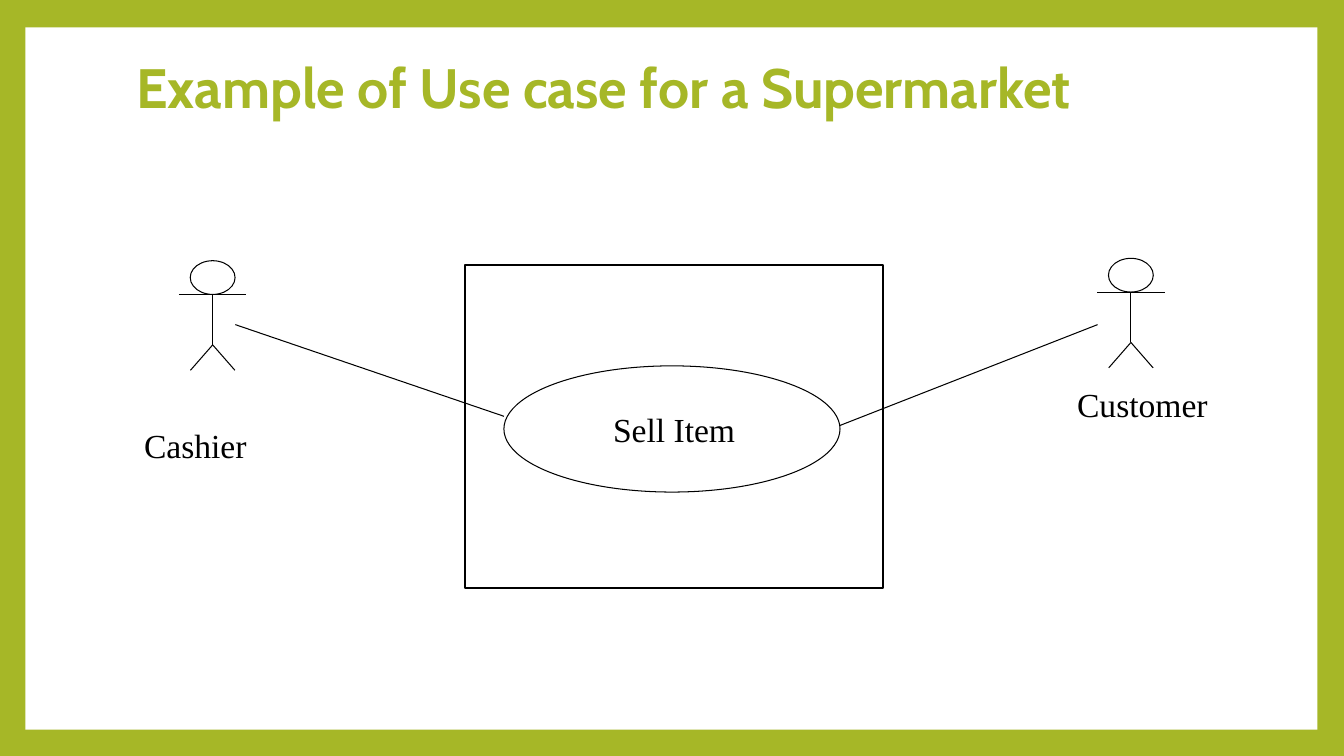
from dataclasses import dataclass

from lxml.etree import SubElement
from pptx import Presentation
from pptx.dml.color import RGBColor
from pptx.enum.shapes import MSO_CONNECTOR, MSO_SHAPE
from pptx.enum.text import MSO_ANCHOR, MSO_AUTO_SIZE, PP_ALIGN
from pptx.oxml.ns import qn
from pptx.util import Cm, Pt


@dataclass(frozen=True)
class Theme:
    green: RGBColor = RGBColor(0xA6, 0xB7, 0x27)
    white: RGBColor = RGBColor(0xFF, 0xFF, 0xFF)
    black: RGBColor = RGBColor(0, 0, 0)
    title_font: str = "Cabin"
    label_font: str = "Times New Roman"
    title_size: float = 39.6
    label_size: float = 24
    thin: float = 0.75
    thick: float = 1.5


@dataclass(frozen=True)
class Area:
    """A rectangle in centimetres."""
    left: float
    top: float
    width: float
    height: float

    def lengths(self) -> tuple[Cm, ...]:
        return tuple(Cm(v) for v in (self.left, self.top, self.width, self.height))


@dataclass(frozen=True)
class Label:
    text: str
    area: Area
    align: PP_ALIGN = PP_ALIGN.CENTER


@dataclass(frozen=True)
class Actor:
    center: float
    top: float
    label: Label


THEME = Theme()

# Stick figure proportions, in centimetres
HEAD_WIDTH, HEAD_HEIGHT = 1.13, 0.85
BODY_LENGTH, ARM_REACH = 1.27, 0.85
LEG_REACH, LEG_DROP = 0.56, 0.64

ACTORS = [
    Actor(5.36, 6.57, Label("Cashier", Area(3.38, 10.59, 4.24, 1.27), PP_ALIGN.LEFT)),
    Actor(28.5, 6.51, Label("Customer", Area(25.83, 9.55, 5.92, 1.27))),
]
USE_CASE = Area(12.7, 9.22, 8.47, 3.18)
USE_CASE_LABEL = Label("Sell Item", Area(13.74, 10.19, 6.5, 1.27))
ASSOCIATIONS = [
    (5.93, 8.18, USE_CASE.left, 10.49),
    (USE_CASE.left + USE_CASE.width, 10.72, 27.66, 8.18),
]


def set_all(target, values: dict) -> None:
    for name, value in values.items():
        setattr(target, name, value)


def add_outline(page, kind: MSO_SHAPE, area: Area,
                fill: RGBColor | None = None, weight: float = 0) -> None:
    shape = page.shapes.add_shape(kind, *area.lengths())
    shape.shadow.inherit = False
    if fill is None:
        shape.fill.background()
    else:
        shape.fill.solid()
        shape.fill.fore_color.rgb = fill
    if weight:
        shape.line.color.rgb = THEME.black
        shape.line.width = Pt(weight)
    else:
        shape.line.fill.background()


def add_line(page, x1: float, y1: float, x2: float, y2: float) -> None:
    line = page.shapes.add_connector(
        MSO_CONNECTOR.STRAIGHT, Cm(x1), Cm(y1), Cm(x2), Cm(y2))
    line.line.color.rgb = THEME.black
    line.line.width = Pt(THEME.thin)
    SubElement(line.element.spPr, qn("a:effectLst"))


def write(frame, text: str, align: PP_ALIGN, color: RGBColor, font: dict) -> None:
    para = frame.paragraphs[0]
    para.alignment = align
    span = para.add_run()
    span.text = text
    set_all(span.font, font)
    span.font.color.rgb = color


def add_label(page, label: Label) -> None:
    box = page.shapes.add_textbox(*label.area.lengths())
    box.text_frame.word_wrap = True
    write(box.text_frame, label.text, label.align, THEME.black,
          {"name": THEME.label_font, "size": Pt(THEME.label_size)})


def add_actor(page, actor: Actor) -> None:
    x = actor.center
    neck = actor.top + HEAD_HEIGHT
    hip = neck + BODY_LENGTH
    add_outline(page, MSO_SHAPE.OVAL,
                Area(x - HEAD_WIDTH / 2, actor.top, HEAD_WIDTH, HEAD_HEIGHT),
                weight=THEME.thin)
    add_line(page, x, neck, x, hip)
    add_line(page, x - ARM_REACH, neck, x + ARM_REACH, neck)
    for side in (-1, 1):
        add_line(page, x, hip, x + side * LEG_REACH, hip + LEG_DROP)
    add_label(page, actor.label)


def add_title(page, text: str, area: Area) -> None:
    title = page.shapes.title
    set_all(title, dict(zip(("left", "top", "width", "height"), area.lengths())))
    set_all(title.text_frame, {
        "vertical_anchor": MSO_ANCHOR.TOP, "margin_top": 0,
        "word_wrap": True, "auto_size": MSO_AUTO_SIZE.NONE})
    title.text_frame.paragraphs[0].line_spacing = 0.9
    write(title.text_frame, text, PP_ALIGN.LEFT, THEME.green,
          {"name": THEME.title_font, "size": Pt(THEME.title_size), "bold": True})


# Page with a green border around a white panel
deck = Presentation()
deck.slide_width, deck.slide_height = Cm(33.87), Cm(19.05)
page = deck.slides.add_slide(deck.slide_layouts[5])
page.background.fill.solid()
page.background.fill.fore_color.rgb = THEME.green
add_outline(page, MSO_SHAPE.RECTANGLE, Area(0.64, 0.69, 32.56, 17.7), THEME.white)

# The title goes in front of the panel
page.shapes.element.append(page.shapes.title.element)
add_title(page, "Example of Use case for a Supermarket", Area(3.18, 1.52, 27.43, 2.9))

# System boundary and its use case
add_outline(page, MSO_SHAPE.RECTANGLE, Area(11.73, 6.68, 10.52, 8.13),
            THEME.white, THEME.thick)
add_outline(page, MSO_SHAPE.OVAL, USE_CASE, weight=THEME.thin)
add_label(page, USE_CASE_LABEL)

# Actors and their associations
for actor in ACTORS:
    add_actor(page, actor)
for ends in ASSOCIATIONS:
    add_line(page, *ends)

deck.save("out.pptx")
